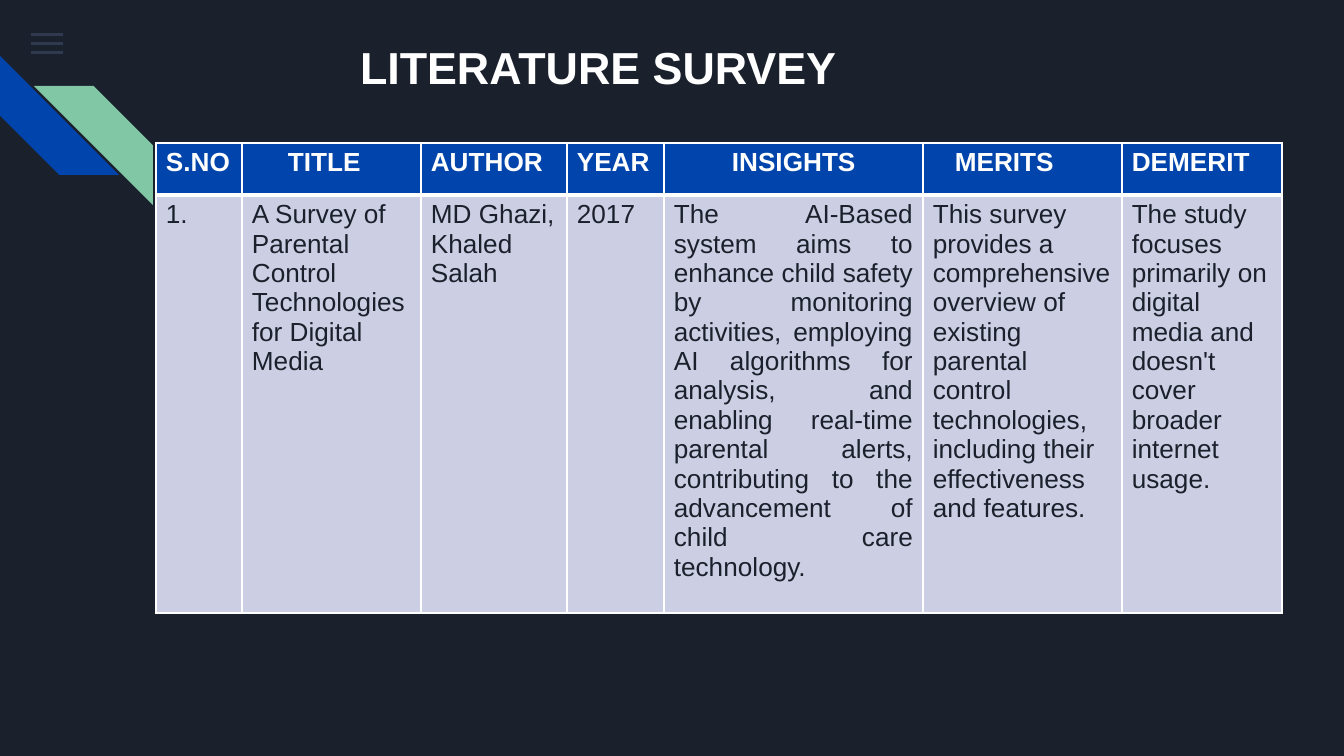
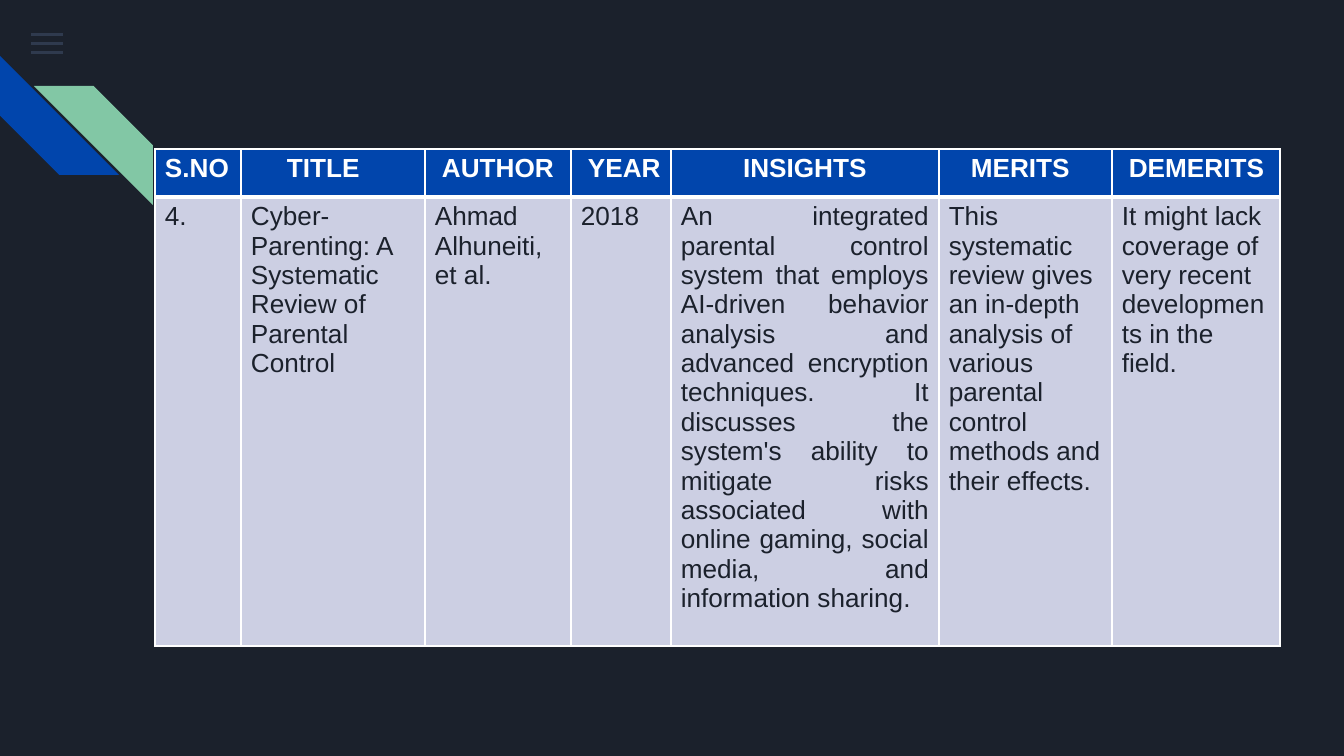
from dataclasses import dataclass

from lxml.etree import SubElement
from pptx import Presentation
from pptx.dml.color import RGBColor
from pptx.enum.shapes import MSO_SHAPE
from pptx.enum.text import MSO_ANCHOR, PP_ALIGN
from pptx.oxml.ns import qn
from pptx.util import Emu, Pt


@dataclass(frozen=True)
class Theme:
    font: str = "Arial"
    night: str = "1B212C"
    slate: str = "55688B"
    blue: str = "0145AC"
    green: str = "82C7A5"
    pale: str = "CCCFE3"
    white: str = "FFFFFF"
    head: int = 24
    body: int = 14
    thin: int = 1
    thick: int = 3


theme = Theme()
WIDE, HIGH = 1344, 756


def px(num):
    return Emu(round(num * 9144000 / WIDE))


def style(para, size, color, bold):
    for run in para.runs:
        run.font.name = theme.font
        run.font.size = Pt(size)
        run.font.bold = bold
        run.font.color.rgb = RGBColor.from_string(color)


LEFT, MID, JUST = PP_ALIGN.LEFT, PP_ALIGN.CENTER, PP_ALIGN.JUSTIFY

# Each column: width, heading, heading indent, heading alignment, entry
pages = [
    {
        "title": "LITERATURE SURVEY",
        "spot": (156, 143),
        "rows": (52, 399),
        "cols": [
            (86, "S.NO", 0, LEFT, "1."),
            (179, "TITLE", 36, LEFT,
             "A Survey of Parental Control Technologies for Digital Media"),
            (146, "AUTHOR", 0, LEFT, "MD Ghazi, Khaled Salah"),
            (97, "YEAR", 0, LEFT, "2017"),
            (259, "INSIGHTS", 58, LEFT,
             "The AI-Based system aims to enhance child safety by monitoring "
             "activities, employing AI algorithms for analysis, and enabling "
             "real-time parental alerts, contributing to the advancement of "
             "child care technology."),
            (199, "MERITS", 22, LEFT,
             "This survey provides a comprehensive overview of existing "
             "parental control technologies, including their effectiveness "
             "and features."),
            (160, "DEMERIT", 0, LEFT,
             "The study focuses primarily on digital media and doesn't cover "
             "broader internet usage."),
        ],
    },
    {
        "title": None,
        "spot": (155, 149),
        "rows": (48, 423),
        "cols": [
            (86, "S.NO", 0, LEFT, "4."),
            (184, "TITLE", 36, LEFT,
             "Cyber-Parenting: A Systematic Review of Parental Control"),
            (146, "AUTHOR", 7, LEFT, "Ahmad Alhuneiti, et al."),
            (100, "YEAR", 7, LEFT, "2018"),
            (268, "INSIGHTS", 0, MID,
             "An integrated parental control system that employs AI-driven "
             "behavior analysis and advanced encryption techniques. It "
             "discusses the system's ability to mitigate risks associated "
             "with online gaming, social media, and information sharing."),
            (173, "MERITS", 22, LEFT,
             "This systematic review gives an in-depth analysis of various "
             "parental control methods and their effects."),
            (168, "DEMERITS", 7, LEFT,
             "It might lack coverage of very recent developments in the "
             "field."),
        ],
    },
]

# Shape, left, top, width, height, colour, turn, flipped, percent opaque
bars = [(MSO_SHAPE.RECTANGLE, 31, 33 + 9 * i, 32, 3, theme.slate, 0, False, 36)
        for i in range(3)]
bands = [
    (MSO_SHAPE.DIAGONAL_STRIPE, 0, 56, 119, 119, theme.blue, 270, False, 100),
    (MSO_SHAPE.DIAGONAL_STRIPE, 34, 86, 119, 119, theme.green, 0, True, 100),
]

deck = Presentation()
deck.slide_width, deck.slide_height = px(WIDE), px(HIGH)
back = deck.slide_master.background.fill
back.solid()
back.fore_color.rgb = RGBColor.from_string(theme.night)

for page in pages:
    slide = deck.slides.add_slide(deck.slide_layouts[6])

    for kind, x, y, w, h, color, turn, flip, shown in bars + bands:
        shape = slide.shapes.add_shape(kind, px(x), px(y), px(w), px(h))
        shape.shadow.inherit = False
        shape.line.fill.background()
        shape.fill.solid()
        shape.fill.fore_color.rgb = RGBColor.from_string(color)
        shape.rotation = turn
        if flip:
            shape._element.spPr.find(qn("a:xfrm")).set("flipH", "1")
        if shown < 100:
            tint = shape._element.spPr.find(".//" + qn("a:srgbClr"))
            SubElement(tint, qn("a:alpha"), val=str(shown * 1000))

    if page["title"]:
        frame = slide.shapes.add_textbox(
            px(347), px(27), px(945), px(134)).text_frame
        frame.word_wrap = True
        frame.vertical_anchor = MSO_ANCHOR.TOP
        frame.margin_left = frame.margin_right = px(13)
        frame.margin_top = frame.margin_bottom = px(13)
        frame.text = page["title"]
        style(frame.paragraphs[0], theme.head, theme.white, True)

    cols, rows = page["cols"], page["rows"]
    x, y = page["spot"]
    table = slide.shapes.add_table(
        len(rows), len(cols), px(x), px(y),
        px(sum(col[0] for col in cols)), px(sum(rows))).table
    table.horz_banding = False
    for row, high in zip(table.rows, rows):
        row.height = px(high)

    for c, (wide, name, inset, align, entry) in enumerate(cols):
        table.columns[c].width = px(wide)
        flow = JUST if name == "INSIGHTS" else LEFT
        looks = [
            (name, inset, align, theme.white, theme.blue, True),
            (entry, 0, flow, theme.night, theme.pale, False),
        ]
        for r, (text, indent, align, ink, fill, bold) in enumerate(looks):
            cell = table.cell(r, c)
            cell.margin_left, cell.margin_right = px(10 + indent), px(10)
            cell.margin_top = cell.margin_bottom = px(5)
            cell.vertical_anchor = MSO_ANCHOR.TOP
            cell.text = text
            para = cell.text_frame.paragraphs[0]
            para.alignment = align
            style(para, theme.body, ink, bold)

            heavy = "lnB" if r == 0 else "lnT"
            for side in ("lnL", "lnR", "lnT", "lnB"):
                weight = theme.thick if side == heavy else theme.thin
                edge = SubElement(cell._tc.get_or_add_tcPr(), qn("a:" + side),
                                  w=str(Pt(weight)))
                paint = SubElement(edge, qn("a:solidFill"))
                SubElement(paint, qn("a:srgbClr"), val=theme.white)
            cell.fill.solid()
            cell.fill.fore_color.rgb = RGBColor.from_string(fill)

deck.save("out.pptx")
